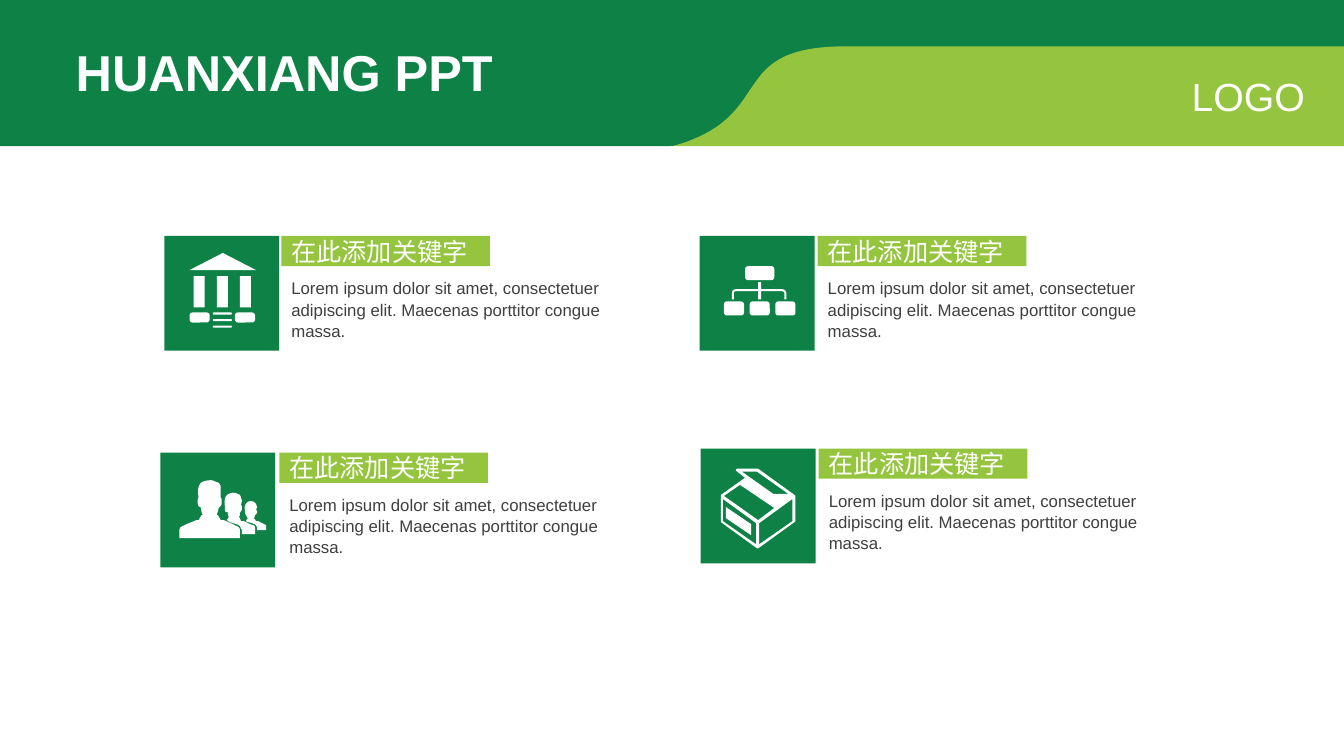
import dataclasses
import typing

import pptx
import pptx.dml.color
import pptx.enum.shapes
import pptx.enum.text
import pptx.util

Inches = pptx.util.Inches
Kind = pptx.enum.shapes.MSO_SHAPE
Align = pptx.enum.text.PP_ALIGN
Anchor = pptx.enum.text.MSO_ANCHOR
Fit = pptx.enum.text.MSO_AUTO_SIZE
Path = typing.Sequence[typing.Tuple[float, ...]]


@dataclasses.dataclass(frozen=True)
class Theme:
    green: str = "0E8146"
    lime: str = "95C53E"
    white: str = "FFFFFF"
    grey: str = "3F3F3F"
    font: str = "Arial"
    head: int = 36
    logo: int = 28
    tag: int = 18
    body: int = 12


@dataclasses.dataclass(frozen=True)
class Card:
    left: float
    top: float
    tag: float


@dataclasses.dataclass(frozen=True)
class Block:
    left: float
    top: float
    width: float
    height: float
    round: float = 0


THEME = Theme()
KEY = "在此添加关键字"
BODY = ("Lorem ipsum dolor sit amet, consectetuer adipiscing elit. "
        "Maecenas porttitor congue massa.")
CARDS = [Card(1.63, 2.34, 2.79), Card(6.94, 2.34, 8.11),
         Card(1.59, 4.49, 2.77), Card(6.95, 4.45, 8.12)]

# A pair is a corner; six numbers are a Bezier curve to the last pair.
BANNER: Path = [(0, 0), (13.33, 0), (13.33, 0.5), (8.27, 0.5), (8.09, 0.56),
                (7.27, 0.86, 7.7, 1.45, 6.55, 1.45), (0, 1.45)]
WAVE: Path = [(8.39, 0.46), (13.33, 0.46), (13.33, 1.45), (6.67, 1.45),
              (7.73, 1.16, 7.17, 0.46, 8.39, 0.46)]
ROOF: Path = [(1.88, 2.68), (2.54, 2.68), (2.21, 2.51)]
BANK = ([Block(1.92 + 0.23 * i, 2.74, 0.11, 0.31) for i in range(3)]
        + [Block(x, 3.1, 0.2, 0.1, 0.03) for x in (1.88, 2.33)]
        + [Block(2.11, 3.1 + 0.065 * i, 0.19, 0.02, 0.01) for i in range(3)])
NODES = ([Block(7.39, 2.64, 0.29, 0.14, 0.03)]
         + [Block(7.18 + 0.255 * i, 2.99, 0.2, 0.14, 0.03) for i in range(3)])
LINKS: Path = [
    (7.76, 2.87), (7.55, 2.87), (7.55, 2.8), (7.52, 2.8), (7.52, 2.87),
    (7.3, 2.87), (7.27, 2.87, 7.26, 2.89, 7.26, 2.91), (7.26, 2.97),
    (7.28, 2.97), (7.28, 2.91), (7.28, 2.9, 7.28, 2.89, 7.3, 2.89),
    (7.52, 2.89), (7.52, 2.97), (7.55, 2.97), (7.55, 2.89), (7.76, 2.89),
    (7.77, 2.89, 7.78, 2.9, 7.78, 2.91), (7.78, 2.97), (7.8, 2.97),
    (7.8, 2.91), (7.8, 2.89, 7.78, 2.87, 7.76, 2.87)]
PEOPLE: typing.List[Path] = [
    [(2.31, 5.2), (2.22, 5.16), (2.19, 5.16), (2.16, 5.11), (2.15, 5.11),
     (2.16, 5.08), (2.17, 5.04), (2.19, 5.02), (2.2, 5), (2.2, 4.95),
     (2.19, 4.94), (2.19, 4.82), (2.17, 4.79), (2.14, 4.78),
     (2.1, 4.75, 2.04, 4.77, 2.01, 4.78), (1.98, 4.79, 1.95, 4.85, 1.97, 4.93),
     (1.96, 4.96), (1.96, 4.98, 1.96, 5.02, 1.98, 5.03), (1.99, 5.03),
     (2, 5.08), (2.01, 5.11), (2, 5.11), (1.97, 5.16), (1.95, 5.16),
     (1.85, 5.2), (1.82, 5.22, 1.79, 5.22, 1.78, 5.25), (1.78, 5.34),
     (2.38, 5.34), (2.38, 5.25), (2.37, 5.22, 2.34, 5.22, 2.31, 5.2)],
    [(2.48, 5.2), (2.42, 5.17), (2.39, 5.17), (2.38, 5.14), (2.37, 5.13),
     (2.38, 5.11), (2.38, 5.09), (2.39, 5.07), (2.4, 5.06), (2.4, 5.02),
     (2.39, 5.01), (2.4, 4.97), (2.39, 4.93), (2.38, 4.91), (2.36, 4.9),
     (2.32, 4.88, 2.29, 4.89, 2.27, 4.9), (2.24, 4.91, 2.22, 4.95, 2.23, 5.01),
     (2.23, 5.03), (2.23, 5.04, 2.23, 5.07, 2.24, 5.08), (2.26, 5.08),
     (2.26, 5.11), (2.27, 5.13), (2.25, 5.16), (2.28, 5.18), (2.34, 5.2),
     (2.36, 5.2, 2.39, 5.22, 2.39, 5.25), (2.4, 5.25), (2.4, 5.3),
     (2.53, 5.3), (2.53, 5.23), (2.53, 5.21, 2.5, 5.21, 2.48, 5.2)],
    [(2.64, 5.21), (2.6, 5.19), (2.56, 5.17), (2.54, 5.17), (2.53, 5.15),
     (2.52, 5.15), (2.53, 5.11), (2.54, 5.1), (2.55, 5.09), (2.55, 5.07),
     (2.54, 5.06), (2.55, 5.03), (2.54, 5), (2.53, 4.99), (2.52, 4.98),
     (2.5, 4.97, 2.47, 4.97, 2.46, 4.98), (2.44, 4.99, 2.42, 5.02, 2.43, 5.06),
     (2.43, 5.07), (2.43, 5.08, 2.43, 5.1, 2.44, 5.11), (2.45, 5.13),
     (2.46, 5.15), (2.45, 5.15), (2.44, 5.17), (2.46, 5.18), (2.5, 5.19),
     (2.52, 5.2, 2.54, 5.2, 2.55, 5.23), (2.55, 5.26), (2.64, 5.26)]]
BOX: typing.List[Path] = [
    [(7.89, 4.92), (7.88, 4.91), (7.52, 4.65), (7.31, 4.65), (7.3, 4.66),
     (7.3, 4.67), (7.39, 4.74), (7.15, 4.91), (7.15, 5.18), (7.51, 5.44),
     (7.52, 5.44), (7.88, 5.18), (7.89, 5.17)],
    [(7.36, 4.68), (7.51, 4.68), (7.82, 4.9), (7.67, 4.9)],
    [(7.5, 5.4), (7.17, 5.17), (7.17, 4.95), (7.5, 5.19)],
    [(7.52, 5.16), (7.18, 4.92), (7.34, 4.81), (7.68, 5.04)],
    [(7.86, 5.17), (7.53, 5.4), (7.53, 5.19), (7.86, 4.95)],
    [(7.45, 5.2), (7.2, 5.03), (7.2, 5.14), (7.45, 5.31)]]


def paint(shape, color: str) -> None:
    shape.shadow.inherit = False
    shape.fill.solid()
    shape.fill.fore_color.rgb = pptx.dml.color.RGBColor.from_string(color)
    shape.line.fill.background()


def trace(route: Path) -> typing.List[typing.Tuple[int, int]]:
    """Turn corners and curves into a list of points in EMU."""
    points = [route[0]]
    for step in route[1:]:
        if len(step) == 2:
            points.append(step)
            continue
        knots = [points[-1], step[:2], step[2:4], step[4:]]
        count = 40 if abs(knots[3][0] - knots[0][0]) > 0.5 else 6
        for i in range(1, count + 1):
            t = i / count
            mix = ((1 - t) ** 3, 3 * t * (1 - t) ** 2, 3 * t * t * (1 - t), t ** 3)
            points.append(tuple(sum(m * k[a] for m, k in zip(mix, knots))
                                for a in (0, 1)))
    return [(Inches(x), Inches(y)) for x, y in points]


def outline(shapes, routes: typing.Sequence[Path], color: str) -> None:
    first, *rest = [trace(route) for route in routes]
    pen = shapes.build_freeform(*first[0])
    pen.add_line_segments(first[1:], close=True)
    for points in rest:
        pen.move_to(*points[0])
        pen.add_line_segments(points[1:], close=True)
    paint(pen.convert_to_shape(), color)


def block(shapes, item: Block, color: str):
    kind = Kind.ROUNDED_RECTANGLE if item.round else Kind.RECTANGLE
    shape = shapes.add_shape(kind, *map(Inches, (item.left, item.top,
                                                 item.width, item.height)))
    if item.round:
        shape.adjustments[0] = item.round / min(item.width, item.height)
    paint(shape, color)
    return shape


def write(shape, text: str, *, size: int, color: str = THEME.white,
          bold: bool = False, align=Align.LEFT, anchor=Anchor.TOP,
          wrap: bool = True, grow: bool = True, pad: typing.Tuple = (0.1, 0.05),
          space: float = 1.0) -> None:
    frame = shape.text_frame
    frame.word_wrap = wrap
    frame.auto_size = Fit.SHAPE_TO_FIT_TEXT if grow else Fit.NONE
    frame.vertical_anchor = anchor
    frame.margin_left = frame.margin_right = Inches(pad[0])
    frame.margin_top = frame.margin_bottom = Inches(pad[1])
    line = frame.paragraphs[0]
    line.alignment = align
    line.line_spacing = space
    run = line.add_run()
    run.text = text
    run.font.name = THEME.font
    run.font.size = pptx.util.Pt(size)
    run.font.bold = bold
    run.font.color.rgb = pptx.dml.color.RGBColor.from_string(color)


def label(shapes, left: float, top: float, width: float, height: float,
          text: str, **form) -> None:
    write(shapes.add_textbox(*map(Inches, (left, top, width, height))), text, **form)


def head(shapes) -> None:
    outline(shapes, [BANNER], THEME.green)
    outline(shapes, [WAVE], THEME.lime)
    title = shapes.title
    title.left, title.top, title.width, title.height = map(
        Inches, (0.65, 0.36, 4.38, 0.71))
    title.element.getparent().append(title.element)  # in front of the banner
    write(title, "HUANXIANG PPT", size=THEME.head, bold=True, wrap=False)
    label(shapes, 11.7, 0.67, 1.34, 0.57, "LOGO", size=THEME.logo,
          align=Align.RIGHT, wrap=False)


def panel(shapes, card: Card) -> None:
    block(shapes, Block(card.left, card.top, 1.14, 1.14), THEME.green)
    tag = block(shapes, Block(card.tag, card.top, 2.07, 0.3), THEME.lime)
    write(tag, KEY, size=THEME.tag, anchor=Anchor.MIDDLE, grow=False)
    label(shapes, card.tag - 0.03, card.top + 0.34, 3.46, 0.74, BODY,
          size=THEME.body, color=THEME.grey, pad=(0.13, 0.07), space=1.05)


def main() -> None:
    deck = pptx.Presentation()
    deck.slide_width, deck.slide_height = Inches(13.33), Inches(7.5)
    shapes = deck.slides.add_slide(deck.slide_layouts[5]).shapes
    head(shapes)
    for card in CARDS:
        panel(shapes, card)
    for routes in ([ROOF], [LINKS], PEOPLE, BOX):
        outline(shapes, routes, THEME.white)
    for item in BANK + NODES:
        block(shapes, item, THEME.white)
    deck.save("out.pptx")


if __name__ == "__main__":
    main()
